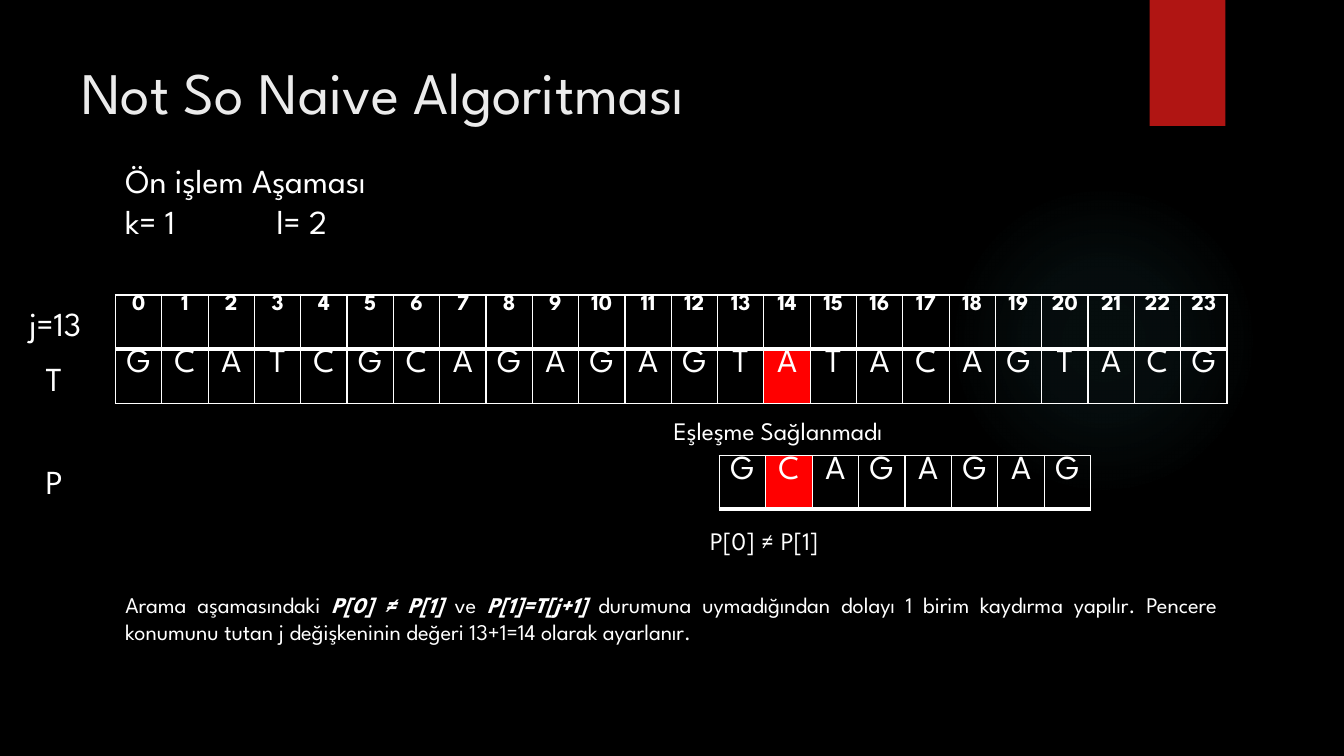
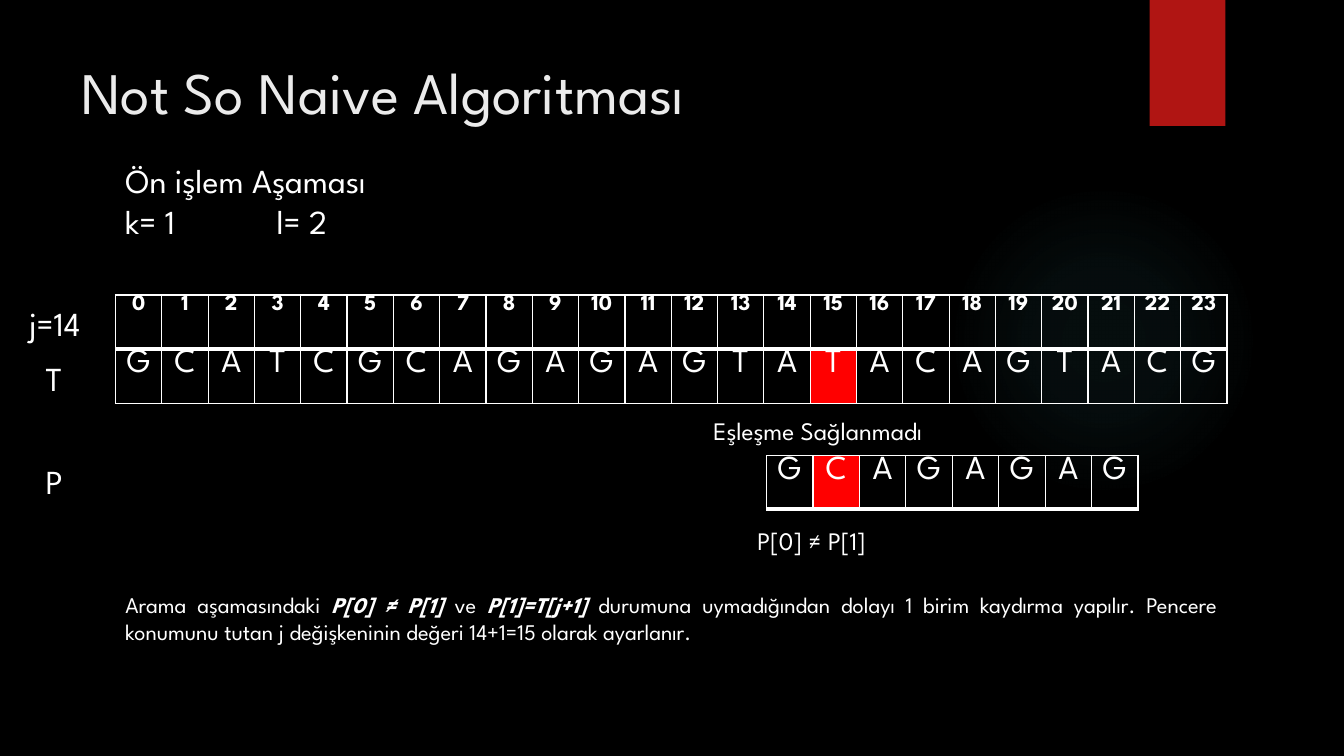
"""Two steps of the Not So Naive string search, each showing the pattern under the text."""
from lxml import etree
from pptx import Presentation
from pptx.dml.color import RGBColor
from pptx.enum.shapes import MSO_SHAPE
from pptx.enum.text import MSO_ANCHOR, MSO_AUTO_SIZE, PP_ALIGN
from pptx.oxml import parse_xml
from pptx.oxml.ns import nsdecls, qn
from pptx.util import Pt

RECTANGLE, OVAL = MSO_SHAPE.RECTANGLE, MSO_SHAPE.OVAL
LEFT, CENTER, JUSTIFY = PP_ALIGN.LEFT, PP_ALIGN.CENTER, PP_ALIGN.JUSTIFY
TOP = MSO_ANCHOR.TOP
GROW, FIXED = MSO_AUTO_SIZE.SHAPE_TO_FIT_TEXT, MSO_AUTO_SIZE.NONE

PX = 9525
FONT = "League Spartan"
COLORS = {
    "background": "000000",
    "title": "EBEBEB",
    "text": "FFFFFF",
    "bar": "B01513",
    "glow": "50B9C1",
    "mismatch": "FF0000",
}
TEXT = "GCATCGCAGAGAGTATACAGTACG"
PATTERN = "GCAGAGAG"
INDEXES = [str(index) for index in range(len(TEXT))]
GLOW_STOPS = [(0, 7), (36, 6), (69, 0)]


def style(paragraph, size, align=LEFT, color="text"):
    paragraph.alignment = align
    paragraph.font.name = FONT
    paragraph.font.size = Pt(size)
    paragraph.font.color.rgb = RGBColor.from_string(COLORS[color])


def add_text(slide, box, lines, size, wrap=False, grow=GROW, align=LEFT, color="text"):
    frame = slide.shapes.add_textbox(*[length * PX for length in box]).text_frame
    frame.word_wrap = wrap
    frame.auto_size = grow
    frame.vertical_anchor = TOP
    for number, line in enumerate(lines):
        paragraph = frame.add_paragraph() if number else frame.paragraphs[0]
        for words, emphasized in line:
            run = paragraph.add_run()
            run.text = words
            if emphasized:
                run.font.bold = run.font.italic = True
        style(paragraph, size, align, color)
    return frame


prs = Presentation()
prs.slide_width, prs.slide_height = 1280 * PX, 720 * PX

for step, j in enumerate((13, 14)):
    slide = prs.slides.add_slide(prs.slide_layouts[6])
    slide.background.fill.solid()
    slide.background.fill.fore_color.rgb = RGBColor.from_string(COLORS["background"])

    glow = slide.shapes.add_shape(OVAL, 903 * PX, 176 * PX, 296 * PX, 296 * PX)
    bar = slide.shapes.add_shape(RECTANGLE, 1095 * PX, 0, 72 * PX, 120 * PX)
    for decoration in (glow, bar):
        decoration.shadow.inherit = False
        decoration.line.fill.background()
    bar.fill.solid()
    bar.fill.fore_color.rgb = RGBColor.from_string(COLORS["bar"])
    glow.fill.background()
    stops = "".join(
        f'<a:gs pos="{position * 1000}"><a:srgbClr val="{COLORS["glow"]}">'
        f'<a:alpha val="{alpha * 1000}"/></a:srgbClr></a:gs>'
        for position, alpha in GLOW_STOPS
    )
    gradient = parse_xml(
        f'<a:gradFill {nsdecls("a")}><a:gsLst>{stops}</a:gsLst><a:path path="circle">'
        '<a:fillToRect l="50000" t="50000" r="50000" b="50000"/></a:path></a:gradFill>'
    )
    properties = glow._element.spPr
    properties.replace(properties.find(qn("a:noFill")), gradient)

    grids = [
        (110, 281, 1059, 103, [INDEXES, TEXT], (1, j + 1)),
        (685 + 45 * step, 434, 354, 51, [PATTERN], (0, 1)),
    ]
    for left, top, width, height, rows, mismatch in grids:
        columns = len(rows[0])
        table = slide.shapes.add_table(
            len(rows), columns, left * PX, top * PX, width * PX, height * PX
        ).table
        table.first_row = table.horz_banding = False
        for column in table.columns:
            column.width = width * PX // columns
        for r, symbols in enumerate(rows):
            table.rows[r].height = height * PX // len(rows)
            for c, symbol in enumerate(symbols):
                cell = table.cell(r, c)
                cell.margin_left = cell.margin_right = 0
                cell.margin_top = cell.margin_bottom = 0
                cell.text = symbol
                paragraph = cell.text_frame.paragraphs[0]
                style(paragraph, 16 if symbols is INDEXES else 24, CENTER)
                paragraph.font.bold = symbols is INDEXES
                for side in "LRTB":
                    points = 3 if side == "B" and r == 0 else 1
                    border = etree.SubElement(
                        cell._tc.get_or_add_tcPr(), qn(f"a:ln{side}"), w=str(Pt(points))
                    )
                    paint = etree.SubElement(border, qn("a:solidFill"))
                    etree.SubElement(paint, qn("a:srgbClr"), val=COLORS["text"])
                if (r, c) == mismatch:
                    cell.fill.solid()
                    cell.fill.fore_color.rgb = RGBColor.from_string(COLORS["mismatch"])
                else:
                    cell.fill.background()

    add_text(slide, (68, 48, 988, 147), [[("Not So Naive Algoritması", False)]], 42,
             wrap=True, grow=FIXED, color="title")

    preprocessing = add_text(
        slide, (110, 148, 300, 87),
        [[("Ön işlem Aşaması", False)], [("k= 1\tl= 2", False)]], 24,
    )
    tabs = parse_xml(
        f'<a:tabLst {nsdecls("a")}><a:tab pos="{144 * PX}" algn="l"/></a:tabLst>'
    )
    preprocessing.paragraphs[1]._p.get_or_add_pPr().insert(0, tabs)

    labels = [
        ((18, 284, 82, 48), f"j={j}", 24),
        ((34, 336, 34, 48), "T", 24),
        ((34, 434, 38, 48), "P", 24),
        ((667 + 45 * step, 496, 136, 38), "P[0] ≠ P[1]", 18),
        ((632 + 38 * step, 391, 259, 38), "Eşleşme Sağlanmadı", 18),
    ]
    for box, words, size in labels:
        add_text(slide, box, [[(words, False)]], size)

    explanation = [
        ("Arama aşamasındaki ", False),
        ("P[0] ≠ P[1] ", True),
        ("ve ", False),
        ("P[1]=T[j+1] ", True),
        ("durumuna uymadığından dolayı 1 birim kaydırma yapılır. Pencere konumunu tutan "
         f"j değişkeninin değeri {j}+1={j + 1} olarak ayarlanır.", False),
    ]
    add_text(slide, (110, 558, 1059, 61), [explanation], 16, wrap=True, align=JUSTIFY)

prs.save("out.pptx")
